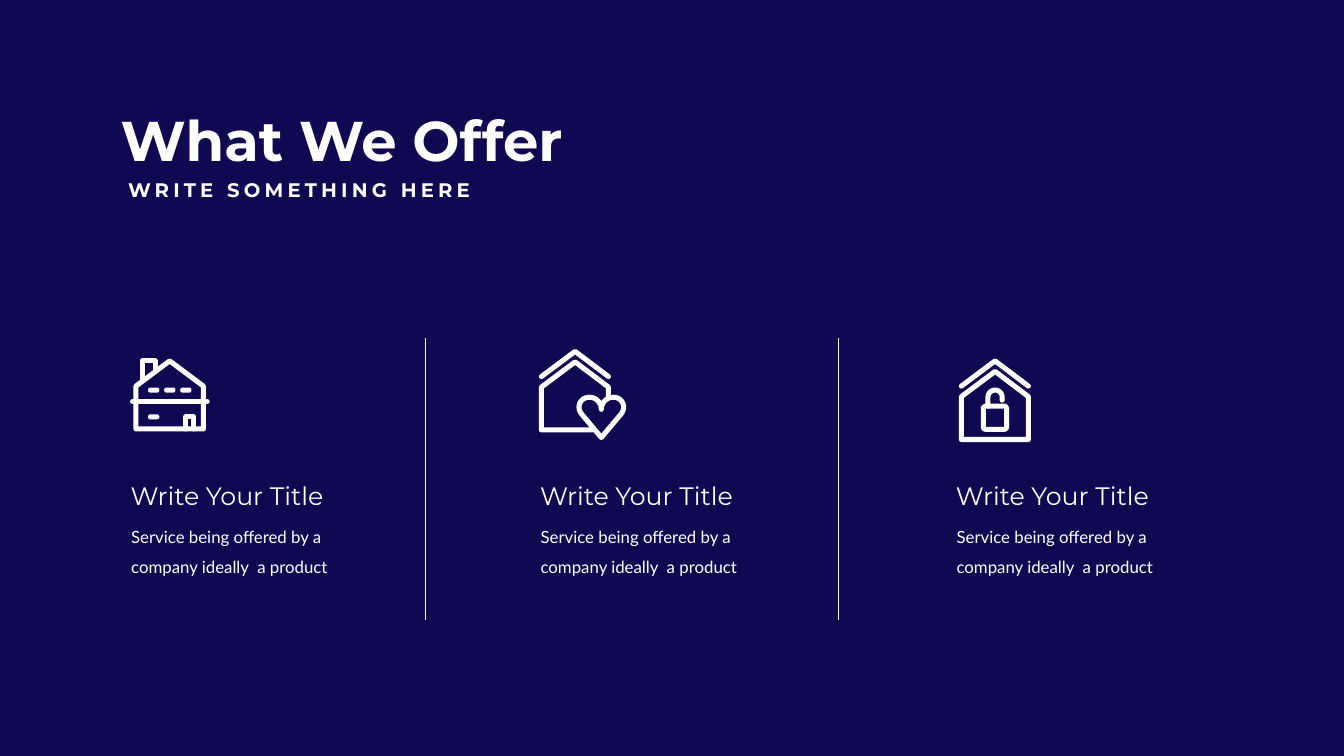
from math import cos, pi, sin
from lxml.etree import SubElement
from pptx import Presentation
from pptx.dml.color import RGBColor
from pptx.enum.shapes import MSO_CONNECTOR, MSO_SHAPE
from pptx.enum.text import MSO_ANCHOR, PP_ALIGN
from pptx.oxml.ns import qn
from pptx.util import Cm, Pt

NAVY = RGBColor(0x10, 0x09, 0x51)
WHITE = RGBColor(0xFF, 0xFF, 0xFF)
WIDE, HIGH = 67.72, 38.1
PEN = 7.2
ROOF = [(0.13, 1.4), (1.83, 0.13), (3.51, 1.4)]
WALLS = [(3.51, 1.93), (1.83, 0.66), (0.13, 1.93), (0.13, 4.09)]


def style(frame, font, size, bold=False, align=PP_ALIGN.LEFT):
    para = frame.paragraphs[0]
    para.alignment = align
    for run in para.runs:
        run.font.name = font
        run.font.size = Pt(size)
        run.font.bold = bold
        run.font.color.rgb = WHITE


def add_text(slide, box, text, font, size, **look):
    shape = slide.shapes.add_textbox(*map(Cm, box))
    frame = shape.text_frame
    frame.word_wrap = True
    frame.text = text
    style(frame, font, size, **look)
    return frame


def add_rule(shapes, start, end, width):
    rule = shapes.add_connector(MSO_CONNECTOR.STRAIGHT,
                                *map(Cm, (*start, *end)))
    rule.line.color.rgb = WHITE
    rule.line.width = Pt(width)
    SubElement(rule._element.spPr, qn("a:effectLst"))
    return rule


def trace(shapes, left, top, points, close):
    """Build a freeform through points given from left, top."""
    spots = [(Cm(left + x), Cm(top + y)) for x, y in points]
    pen = shapes.build_freeform(*spots[0])
    pen.add_line_segments(spots[1:], close=close)
    shape = pen.convert_to_shape()
    shape.shadow.inherit = False
    return shape


def round_off(shape):
    line = shape.line._get_or_add_ln()
    line.set("cap", "rnd")
    SubElement(line, qn("a:round"))


def stroke(shapes, left, top, points, close=False):
    """Draw a thick round-ended outline."""
    shape = trace(shapes, left, top, points, close)
    shape.fill.background()
    shape.line.color.rgb = WHITE
    shape.line.width = Pt(PEN)
    round_off(shape)


def arc(x, y, radius, start, end, steps=12):
    """Points on a circle, with angles in half turns."""
    turns = [pi * (start + (end - start) * i / steps)
             for i in range(steps + 1)]
    return [(x + radius * cos(t), y + radius * sin(t)) for t in turns]


def draw_dash(shapes, left, top, x, y):
    points = arc(x, y, 0.13, 0.5, 1.5) + arc(x + 0.31, y, 0.13, -0.5, 0.5)
    dash = trace(shapes, left, top, points, True)
    dash.fill.solid()
    dash.fill.fore_color.rgb = WHITE
    dash.line.fill.background()


def curve(a, b, c, d, steps=10):
    """Points on the cubic Bezier curve from a to d."""
    spots = []
    for i in range(steps + 1):
        t = i / steps
        u = 1 - t
        spots.append(tuple(
            u**3 * p + 3 * u * u * t * q + 3 * u * t * t * r + t**3 * s
            for p, q, r, s in zip(a, b, c, d)))
    return spots


def heart(mid):
    half = curve((0, 3.05), (0, 2.72), (0.26, 2.44), (0.6, 2.44))
    half += curve((0.6, 2.44), (1.07, 2.44), (1.28, 2.94), (1, 3.28))[1:]
    right = [(mid + x, y) for x, y in half] + [(mid, 4.47)]
    left = [(mid - x, y) for x, y in half[:0:-1]]
    return right + left


def draw_home(shapes, left, top):
    stroke(shapes, left, top, [(0.3, 3.56), (0.3, 1.4), (2, 0.13),
                               (3.7, 1.4), (3.7, 3.56)], close=True)
    beam = add_rule(shapes, (left + 0.13, top + 2.18),
                    (left + 3.89, top + 2.18), PEN)
    round_off(beam)
    stroke(shapes, left, top, [(0.61, 1.1), (0.61, 0.13),
                               (1.27, 0.13), (1.27, 0.6)])
    stroke(shapes, left, top, [(2.82, 3.56), (2.82, 2.95),
                               (3.2, 2.95), (3.2, 3.56)])
    panes = [(1.04 + 0.81 * i, 1.6) for i in range(3)] + [(1.04, 2.95)]
    for x, y in panes:
        draw_dash(shapes, left, top, x, y)


def draw_love(shapes, left, top):
    stroke(shapes, left, top, ROOF)
    stroke(shapes, left, top, [(3.51, 2.4), *WALLS, (2.7, 4.09)])
    stroke(shapes, left, top, heart(3.15), close=True)


def draw_lock(shapes, left, top):
    stroke(shapes, left, top, ROOF)
    stroke(shapes, left, top, [*WALLS, (3.51, 4.09)], close=True)
    body = (arc(1.37, 2.54, 0.13, 1, 1.5) + arc(2.28, 2.54, 0.13, 1.5, 2)
            + arc(2.28, 3.45, 0.13, 0, 0.5) + arc(1.37, 3.45, 0.13, 0.5, 1))
    stroke(shapes, left, top, body, close=True)
    bow = arc(1.83, 1.96, 0.36, 1, 2)
    stroke(shapes, left, top, [(1.47, 2.41), *bow, (2.19, 2.11)])


def add_ground(slide):
    """Cover the slide with navy, behind everything else."""
    ground = slide.shapes.add_shape(MSO_SHAPE.RECTANGLE, 0, 0,
                                    Cm(WIDE), Cm(HIGH))
    ground.fill.solid()
    ground.fill.fore_color.rgb = NAVY
    ground.line.fill.background()
    ground.shadow.inherit = False
    slide.shapes._spTree.insert(2, ground._element)


def add_head(slide, left, top):
    title = slide.shapes.title
    title.left, title.top = Cm(left), Cm(top)
    title.width, title.height = Cm(23.83), Cm(3.68)
    frame = title.text_frame
    frame.text = "What We Offer"
    frame.vertical_anchor = MSO_ANCHOR.TOP
    style(frame, "Montserrat", 80, bold=True)
    sub = add_text(slide, (left + 0.17, top + 3.68, 18.16, 1.45),
                   "WRITE SOMETHING HERE", "Montserrat", 28,
                   bold=True, align=PP_ALIGN.CENTER)
    sub.word_wrap = False
    sub.paragraphs[0].runs[0].font._element.set("spc", "600")


def add_offer(slide, left, top, draw, dx, dy):
    """Place one offer; dx and dy set its icon from left and top."""
    icon = slide.shapes.add_group_shape()
    draw(icon.shapes, left + dx, top + dy)
    add_text(slide, (left + 0.33, top + 7.04, 11.81, 1.8),
             "Write Your Title", "Montserrat", 36)
    body = add_text(slide, (left, top + 8.72, 14.12, 3.5),
                    "Service being offered by a company ideally  a product",
                    "Lato", 24)
    body.margin_left = body.margin_right = Cm(0.61)
    body.margin_top = body.margin_bottom = Cm(0.3)
    body.paragraphs[0].line_spacing = Pt(43)


def main():
    deck = Presentation()
    deck.slide_width, deck.slide_height = Cm(WIDE), Cm(HIGH)
    slide = deck.slides.add_slide(deck.slide_layouts[5])
    add_ground(slide)
    add_head(slide, 5.82, 5.18)
    top = 17.04
    offers = [(6, draw_home, 0.55, 1.02), (26.63, draw_love, 0.52, 0.54),
              (47.59, draw_lock, 0.72, 1.02)]
    for left, draw, dx, dy in offers:
        add_offer(slide, left, top, draw, dx, dy)
    for x in (21.41, 42.24):
        add_rule(slide.shapes, (x, top), (x, top + 14.23), 0.5)
    deck.save("out.pptx")


if __name__ == "__main__":
    main()
